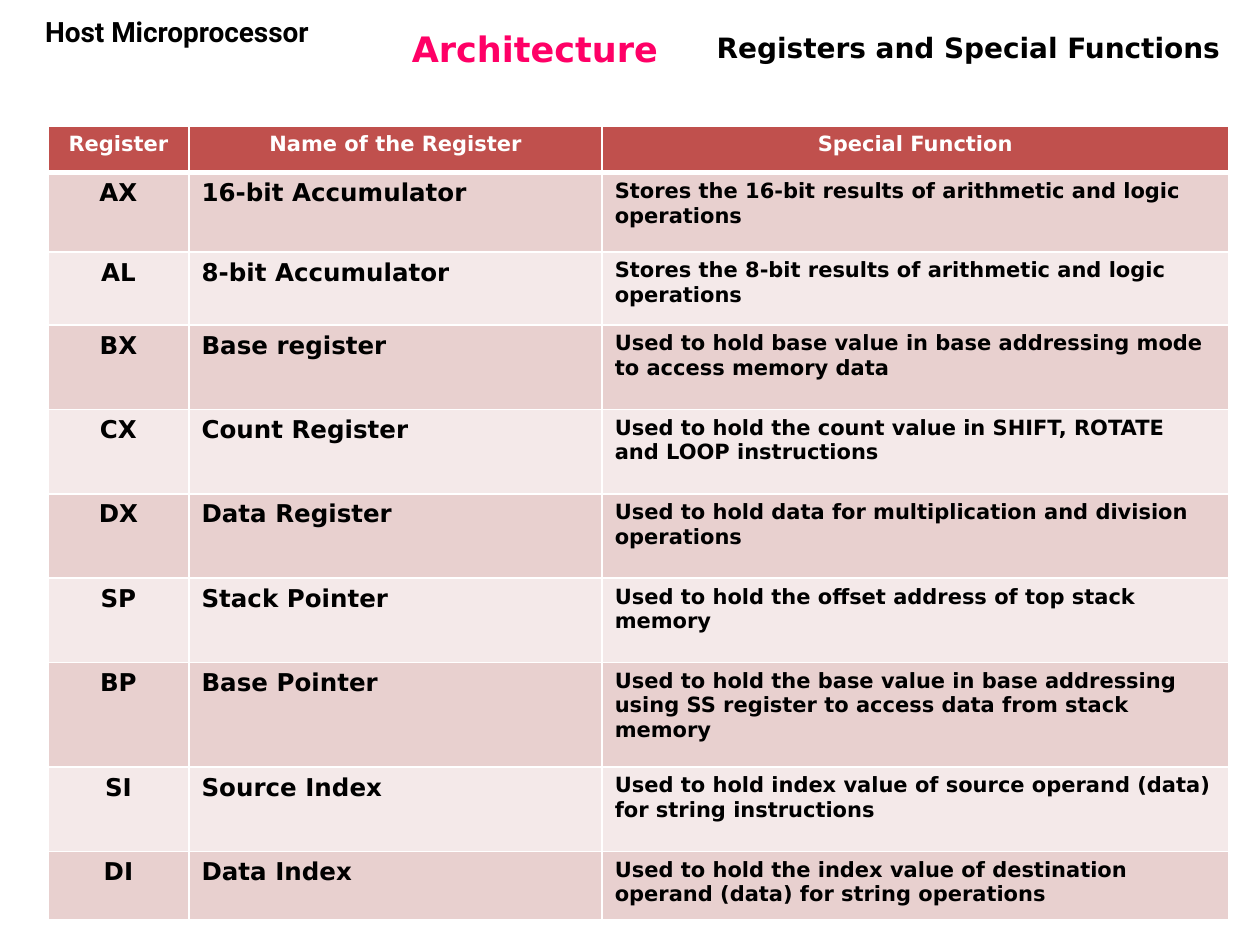
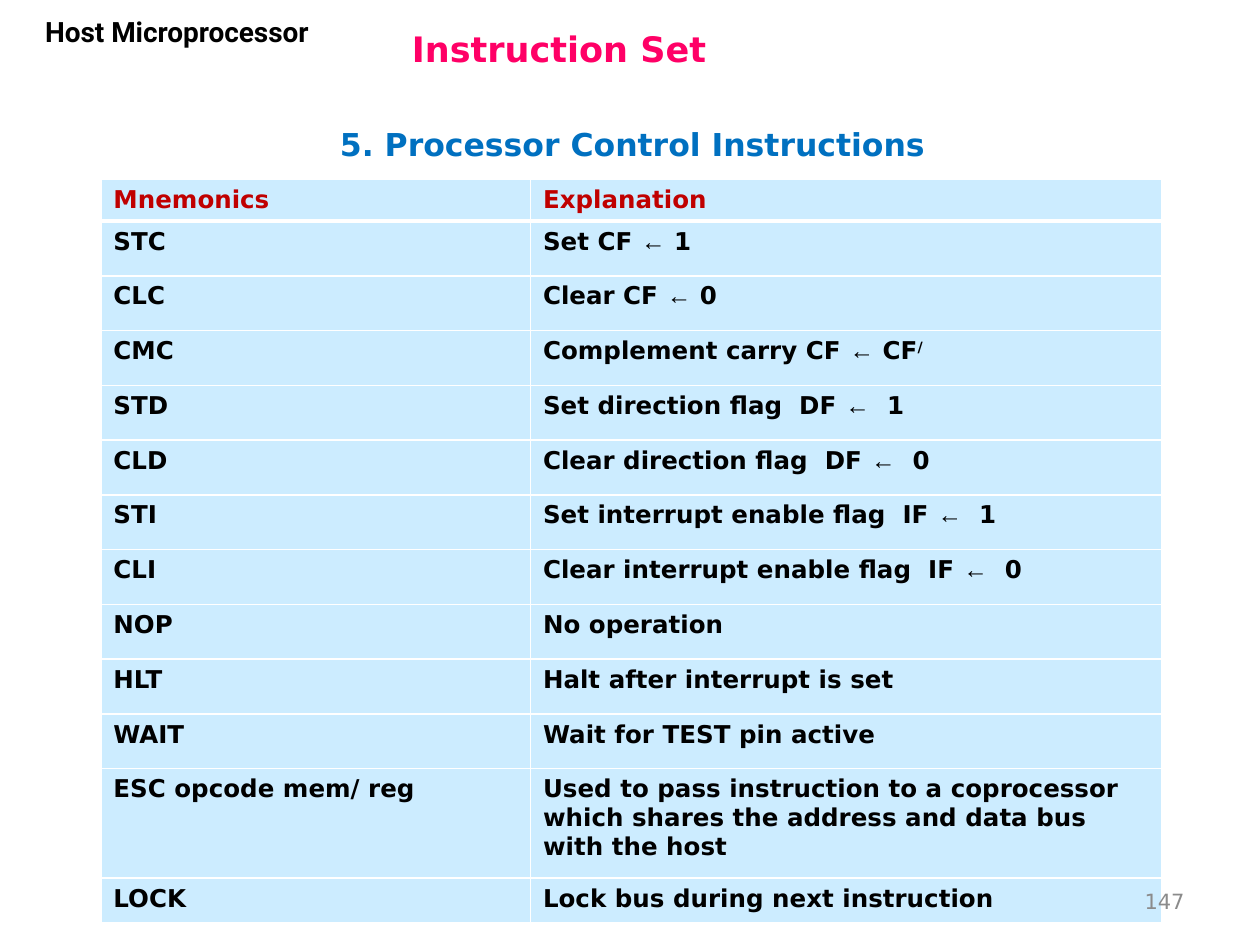
import pptx
import pptx.dml.color
import pptx.enum.text
import pptx.oxml
import pptx.oxml.ns
import pptx.util

RGBColor = pptx.dml.color.RGBColor
ALIGN = pptx.enum.text.PP_ALIGN
ANCHOR = pptx.enum.text.MSO_ANCHOR

BLACK = RGBColor(0x00, 0x00, 0x00)
WHITE = RGBColor(0xFF, 0xFF, 0xFF)
PINK = RGBColor(0xFF, 0x00, 0x66)
BLUE = RGBColor(0x00, 0x70, 0xC0)
GREY = RGBColor(0x8B, 0x8B, 0x8B)
DARK_RED = RGBColor(0xC0, 0x00, 0x00)
BRICK = RGBColor(0xC0, 0x50, 0x4D)
ROSE = RGBColor(0xE8, 0xD0, 0xCF)
PALE_ROSE = RGBColor(0xF4, 0xE9, 0xE9)
SKY = RGBColor(0xCC, 0xEC, 0xFF)

BODY_FONT = "DejaVu Sans"
LABEL_FONT = "Roboto"
ARROW_FONT = "Arial"
ARROW = "←"
THIN, THICK = 0.96, 3

deck = pptx.Presentation()
deck.slide_width = pptx.util.Inches(10)
deck.slide_height = pptx.util.Inches(7.5)
COLUMN = deck.slide_width / 100
ROW = deck.slide_height / 75


def add_text(page, text, place, size, color, align=ALIGN.LEFT,
             anchor=ANCHOR.MIDDLE, font=BODY_FONT, bold=True, wrap=True):
    left, top, width, height = place
    box = page.shapes.add_textbox(int(left * COLUMN), int(top * ROW),
                                  int(width * COLUMN), int(height * ROW))
    frame = box.text_frame
    frame.text = text
    frame.word_wrap = wrap
    frame.vertical_anchor = anchor
    para = frame.paragraphs[0]
    para.alignment = align
    span = para.runs[0]
    span.font.name = font
    span.font.size = pptx.util.Pt(size)
    span.font.bold = bold
    span.font.color.rgb = color


def add_grid(page, left, top, widths, heights, records, header_style,
             body_fills, body_sizes, header_align, body_aligns):
    header_fill, header_color, header_size = header_style
    table = page.shapes.add_table(
        len(records), len(widths), int(left * COLUMN), int(top * ROW),
        int(sum(widths) * COLUMN), int(sum(heights) * ROW)).table
    table.horz_banding = False
    for column, width in zip(table.columns, widths):
        column.width = int(width * COLUMN)
    for row, height in zip(table.rows, heights):
        row.height = int(height * ROW)
    for row_number, record in enumerate(records):
        header = row_number == 0
        for column_number, text in enumerate(record):
            cell = table.cell(row_number, column_number)
            borders = {"lnL": THIN, "lnR": THIN,
                       "lnT": THICK if row_number == 1 else THIN,
                       "lnB": THICK if header else THIN}
            for tag, points in borders.items():
                cell._tc.get_or_add_tcPr().append(pptx.oxml.parse_xml(
                    f'<a:{tag} {pptx.oxml.ns.nsdecls("a")} w="{pptx.util.Pt(points)}">'
                    f'<a:solidFill><a:srgbClr val="{WHITE}"/></a:solidFill></a:{tag}>'))
            cell.fill.solid()
            cell.fill.fore_color.rgb = (
                header_fill if header else body_fills[(row_number - 1) % len(body_fills)])
            para = cell.text_frame.paragraphs[0]
            para.alignment = header_align if header else body_aligns[column_number]
            for piece in filter(None, text.partition(ARROW)):
                words, mark, raised = piece.partition("^")
                for part in filter(None, (words, raised)):
                    span = para.add_run()
                    span.text = part
                    span.font.name = ARROW_FONT if part == ARROW else BODY_FONT
                    span.font.size = pptx.util.Pt(
                        header_size if header else body_sizes[column_number])
                    span.font.bold = True
                    span.font.color.rgb = header_color if header else BLACK
                if mark:
                    span.font._element.set("baseline", "30000")


registers = [
    ("Register", "Name of the Register", "Special Function"),
    ("AX", "16-bit Accumulator",
     "Stores the 16-bit results of arithmetic and logic operations"),
    ("AL", "8-bit Accumulator",
     "Stores the 8-bit results of arithmetic and logic operations"),
    ("BX", "Base register",
     "Used to hold base value in base addressing mode to access memory data"),
    ("CX", "Count Register",
     "Used to hold the count value in SHIFT, ROTATE and LOOP instructions"),
    ("DX", "Data Register",
     "Used to hold data for multiplication and division operations"),
    ("SP", "Stack Pointer",
     "Used to hold the offset address of top stack memory"),
    ("BP", "Base Pointer",
     "Used to hold the base value in base addressing using SS register "
     "to access data from stack memory"),
    ("SI", "Source Index",
     "Used to hold index value of source operand (data) for string instructions"),
    ("DI", "Data Index",
     "Used to hold the index value of destination operand (data) for string operations"),
]

instructions = [
    ("Mnemonics", "Explanation"),
    ("STC", "Set CF ← 1"),
    ("CLC", "Clear CF ← 0"),
    ("CMC", "Complement carry CF ← CF^/"),
    ("STD", "Set direction flag  DF ←  1"),
    ("CLD", "Clear direction flag  DF ←  0"),
    ("STI", "Set interrupt enable flag  IF ←  1"),
    ("CLI", "Clear interrupt enable flag  IF ←  0"),
    ("NOP", "No operation"),
    ("HLT", "Halt after interrupt is set"),
    ("WAIT", "Wait for TEST pin active"),
    ("ESC opcode mem/ reg",
     "Used to pass instruction to a coprocessor which shares the address "
     "and data bus with the host"),
    ("LOCK", "Lock bus during next instruction"),
]

pages = []
for title in ("Architecture", "Instruction Set"):
    page = deck.slides.add_slide(deck.slide_layouts[6])
    add_text(page, title, (31.7, 1.2, 65.8, 5.3), 20, PINK)
    add_text(page, "Host Microprocessor", (0.7, 0.7, 26.7, 6.3), 16, BLACK,
             ALIGN.CENTER, ANCHOR.TOP, LABEL_FONT)
    pages.append(page)
register_page, instruction_page = pages

add_grid(register_page, 3.8, 10, [11.2, 32.8, 49.7],
         [3.7, 6.3, 5.8] + [6.7] * 4 + [8.3, 6.7, 5.4], registers,
         (BRICK, WHITE, 12), [ROSE, PALE_ROSE], [14, 14, 12],
         ALIGN.CENTER, [ALIGN.CENTER, ALIGN.LEFT, ALIGN.LEFT])
add_text(register_page, "Registers and Special Functions", (55.9, 1.9, 42, 3.6),
         16, BLACK, anchor=ANCHOR.TOP, wrap=False)

add_grid(instruction_page, 8, 14.2, [34.1, 50.1],
         [3.3] + [4.35] * 10 + [8.7, 3.5], instructions,
         (SKY, DARK_RED, 14), [SKY], [14, 14],
         ALIGN.LEFT, [ALIGN.LEFT, ALIGN.LEFT])
add_text(instruction_page, "5. Processor Control Instructions",
         (2.9, 9.3, 94.6, 4.3), 18, BLUE, ALIGN.CENTER)
add_text(instruction_page, "147", (71.7, 69.5, 23.3, 4), 12, GREY,
         ALIGN.RIGHT, bold=False)

deck.save("out.pptx")
